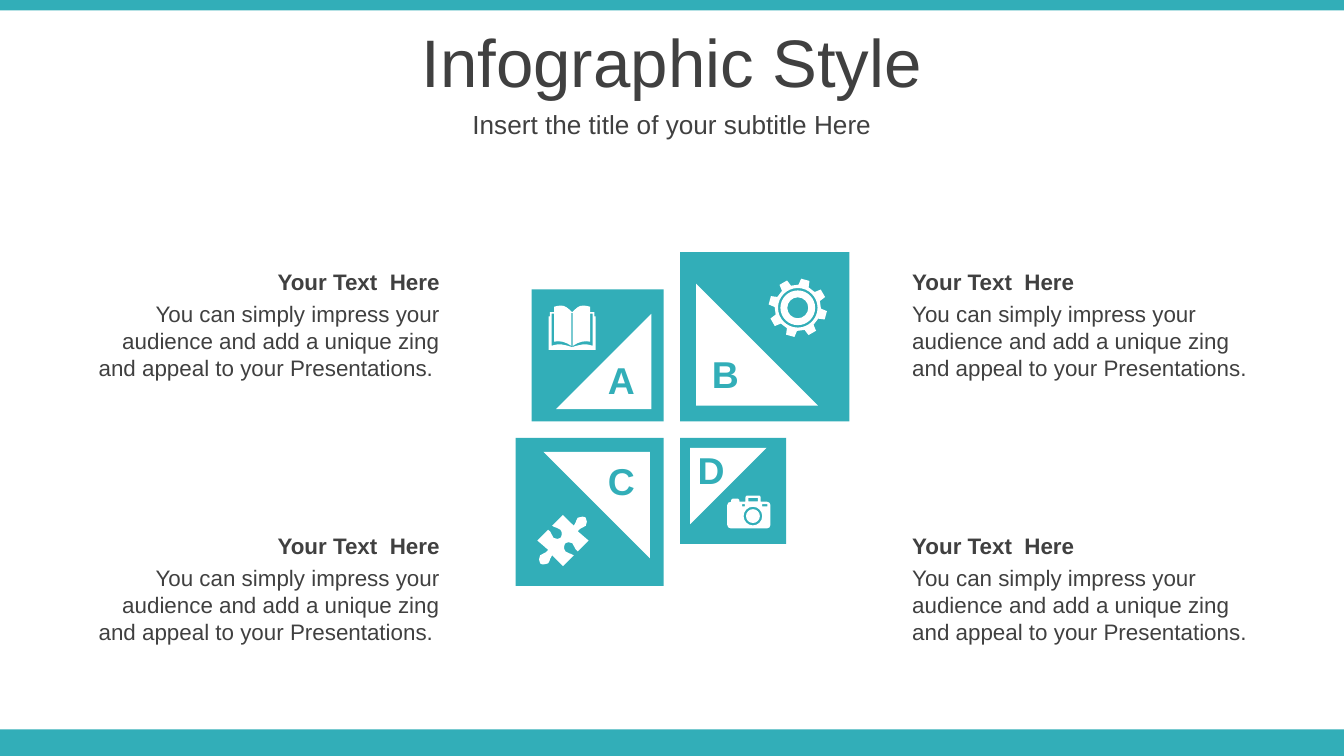
from math import cos, pi, sin

from pptx import Presentation
from pptx.dml.color import RGBColor
from pptx.enum import shapes, text
from pptx.oxml.ns import qn
from pptx.oxml.xmlchemy import OxmlElement
from pptx.util import Pt

TEAL = RGBColor(0x32, 0xAE, 0xB8)
WHITE = RGBColor(0xFF, 0xFF, 0xFF)
GREY = RGBColor(0x40, 0x40, 0x40)
KIND = shapes.MSO_SHAPE
SIDE = text.PP_ALIGN

WIDTH, HEIGHT = 720, 405
MID_X, MID_Y, GAP = 360, 230.2, 8.8
INSET, CORNER = 0.094, 0.72  # shares of a tile's side

# letter, side, x and y direction from the middle, triangle turn, letter box
TILES = [
    ("A", 70.8, -1, -1, 270, (317, 187.9)),
    ("B", 90.7, 1, -1, 0, (372.8, 184.5)),
    ("C", 79.3, -1, 1, 180, (317, 241.9)),
    ("D", 56.8, 1, 1, 90, (365.2, 236.1)),
]
HEAD = "Your Text  Here"
BODY = ("You can simply impress your audience and add a unique zing "
        "and appeal to your Presentations.")

# Outlines: a pair is a line's end, six numbers are a curve's controls and end.
PAGE = [(0, 3.6), (2.2, 1.4, 3.6, 0, 6, 0), (7.4, 0, 8.6, 0.4, 9.7, 0.7),
        (9.7, 3.6), (11.9, 3.6), (11.9, 5.8), (12.6, 5.8), (12.6, 23.8),
        (0, 23.8)]
FOLD = [(0, 4), (0.4, 4), (0.4, 21.6), (3.4, 19.4, 7, 18.7, 9.7, 19.4),
        (9.7, 4.3), (11, 4.3), (11, 21.6), (6.8, 20.1, 4.5, 20.9, 0, 22.3)]
JIGSAW = [(0, -13.7), (5.8, -7.9), (7.2, -9.4, 6.5, -10, 7.9, -12.2),
          (9.4, -13, 11.5, -13, 12.2, -12.2),
          (13, -10.8, 13, -9.4, 12.2, -7.9),
          (10.8, -6.5, 9.4, -7.2, 7.9, -5), (13.7, 0), (7.9, 5.8),
          (5.8, 4.3, 6.5, 2.9, 5, 1.4), (3.6, 0.7, 2.2, 0.7, 1.4, 1.4),
          (0.7, 2.2, 0, 4.3, 1.4, 5.8), (2.9, 7.2, 3.6, 6.5, 5.8, 7.9)]
CAMERA = [(-11.7, -7.7), (-11.7, -8.6), (-11.7, -9.2, -11.4, -9.4, -10.8, -9.4),
          (-8, -9.4), (-7.4, -9.4, -7.2, -9.2, -7.2, -8.6), (-7.2, -7.7),
          (-4, -7.7), (-4, -10), (-4, -10.8, -3.6, -11, -3, -11),
          (3.2, -11), (3.9, -11, 4.1, -10.8, 4.1, -10), (4.1, -7.7),
          (7.5, -7.7), (8.6, -7.7, 9.4, -6.9, 9.4, -5.8), (9.4, 4.6),
          (9.4, 5.8, 8.6, 6.6, 7.5, 6.6), (-11.8, 6.6),
          (-13, 6.6, -13.8, 5.8, -13.8, 4.6), (-13.8, -5.8),
          (-13.8, -6.9, -13, -7.7, -11.7, -7.7)]


def paint(shape, color):
    shape.shadow.inherit = False
    shape.fill.solid()
    shape.fill.fore_color.rgb = color
    shape.line.fill.background()


def block(slide, kind, x, y, w, h, color, turn=0):
    shape = slide.shapes.add_shape(kind, Pt(x), Pt(y), Pt(w), Pt(h))
    shape.rotation = turn
    paint(shape, color)


def label(slide, words, x, y, w, h, size, align, color=GREY, bold=False,
          anchor=text.MSO_ANCHOR.TOP):
    frame = slide.shapes.add_textbox(Pt(x), Pt(y), Pt(w), Pt(h)).text_frame
    frame.word_wrap = True
    frame.vertical_anchor = anchor
    frame.text = words
    line = frame.paragraphs[0]
    line.alignment = align
    font = line.runs[0].font
    font.name, font.size, font.bold = "Arial", Pt(size), bold
    font.color.rgb = color


def ring(r):
    k = 0.55 * r
    return [(r, 0), (r, k, k, r, 0, r), (-k, r, -r, k, -r, 0),
            (-r, -k, -k, -r, 0, -r), (k, -r, r, -k, r, 0)]


def box(left, top, right, low):
    return [(left, top), (right, top), (right, low), (left, low)]


def flip(parts, sx, sy):
    return [tuple(n * (sy if i % 2 else sx) for i, n in enumerate(part))
            for part in parts]


def cog(teeth=8):
    points = []
    for i in range(teeth):
        for angle, radius in ((-13, 12.4), (-8.5, 15.7), (8.5, 15.7), (13, 12.4)):
            turn = (angle + 15 + i * 360 / teeth) * pi / 180
            points.append((radius * sin(turn), -radius * cos(turn)))
    return points


def bend(shape, loops):
    """Join each curve's three line steps into one cubic curve."""
    steps = iter(list(shape.element.iter(qn("a:lnTo"))))
    for loop in loops:
        for part in loop[1:]:
            group = [next(steps) for _ in range(len(part) // 2)]
            if len(group) == 1:
                continue
            curve = OxmlElement("a:cubicBezTo")
            group[0].addprevious(curve)
            for step in group:
                curve.append(step[0])
                step.getparent().remove(step)


def icon(slide, x, y, loops):
    """Draw loops round a point; a loop inside another is a hole."""
    pen = None
    for loop in loops:
        spots = [(Pt(x + part[i]), Pt(y + part[i + 1]))
                 for part in loop for i in range(0, len(part), 2)]
        if pen is None:
            pen = slide.shapes.build_freeform(*spots[0], scale=1.0)
        else:
            pen.move_to(*spots[0])
        pen.add_line_segments(spots[1:], close=True)
    shape = pen.convert_to_shape()
    bend(shape, loops)
    paint(shape, WHITE)


def tile(slide, side, dx, dy, turn):
    """Draw a square and its triangle, both set from the inner corner."""
    def place(kind, size, gap, color, spin=0):
        x = MID_X + dx * gap - (size if dx < 0 else 0)
        y = MID_Y + dy * gap - (size if dy < 0 else 0)
        block(slide, kind, x, y, size, size, color, spin)

    place(KIND.RECTANGLE, side, GAP / 2, TEAL)
    place(KIND.RIGHT_TRIANGLE, side * CORNER, GAP / 2 + side * INSET, WHITE, turn)


def icons(slide):
    book = [PAGE, FOLD]
    icon(slide, 306.5, 163.7, book + [flip(half, -1, 1) for half in book])
    icon(slide, 301.6, 289.6, [JIGSAW + flip(JIGSAW, -1, -1)])
    icon(slide, 427.4, 164.9, [cog(), ring(10.6), ring(9.3), ring(5.6)])
    icon(slide, 403.4, 276.5, [
        CAMERA, ring(5), ring(3.7), box(-2.4, -9.8, 2.6, -7.8),
        box(-5.8, -6.4, -4.3, -5.2), box(4.9, -6.4, 7.8, -5.2)])


def note(slide, x, y, align, body):
    label(slide, body, x, y + 17.3, 200, 51, 12, align)
    label(slide, HEAD, x, y, 200, 21.6, 12, align, bold=True)


def main():
    deck = Presentation()
    deck.slide_width, deck.slide_height = Pt(WIDTH), Pt(HEIGHT)
    slide = deck.slides.add_slide(deck.slide_layouts[6])
    block(slide, KIND.RECTANGLE, 0, 390.8, WIDTH, 14.2, TEAL)
    block(slide, KIND.RECTANGLE, 0, 0, WIDTH, 5.6, TEAL)
    middle = text.MSO_ANCHOR.MIDDLE
    label(slide, "Infographic Style", 0, 9.9, WIDTH, 45.4, 36, SIDE.CENTER,
          anchor=middle)
    label(slide, "Insert the title of your subtitle Here", 0, 55.3, WIDTH, 22.3,
          14, SIDE.CENTER, anchor=middle)
    for _, side, dx, dy, turn, _ in TILES:
        tile(slide, side, dx, dy, turn)
    for letter, *_, spot in TILES:
        label(slide, letter, *spot, 31.7, 31.7, 20, SIDE.CENTER, TEAL, True)
    icons(slide)
    for x, align, body in ((42.7, SIDE.RIGHT, BODY + " "), (481.6, SIDE.LEFT, BODY)):
        for y in (140, 281.6):
            note(slide, x, y, align, body)
    deck.save("out.pptx")


if __name__ == "__main__":
    main()
